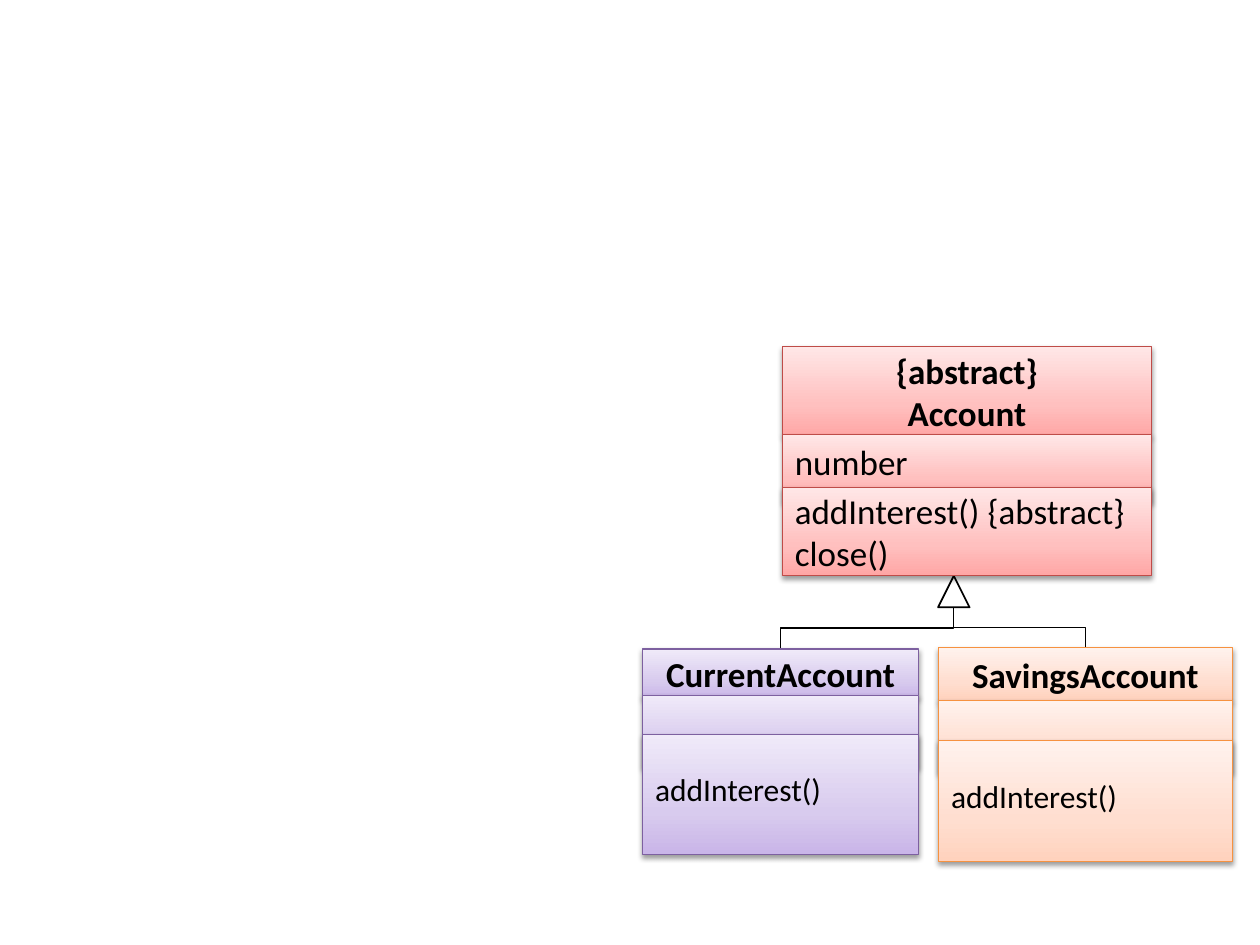
from lxml import etree
from pptx import Presentation
from pptx.dml.color import RGBColor
from pptx.enum.shapes import MSO_CONNECTOR, MSO_SHAPE
from pptx.enum.text import MSO_ANCHOR, PP_ALIGN
from pptx.oxml import parse_xml
from pptx.oxml.ns import nsdecls, qn
from pptx.util import Inches, Pt

RECT, TRIANGLE = MSO_SHAPE.RECTANGLE, MSO_SHAPE.FLOWCHART_EXTRACT
ELBOW = MSO_CONNECTOR.ELBOW
LEFT, CENTER, MIDDLE = PP_ALIGN.LEFT, PP_ALIGN.CENTER, MSO_ANCHOR.MIDDLE
BLACK, WHITE = RGBColor(0, 0, 0), RGBColor(255, 255, 255)
FONT = "Calibri"

# Palettes: outline, then gradient colours from bottom to top
RED = (RGBColor(0xBF, 0x4C, 0x48), ("FFA6A5", "FFC0BF", "FFE7E7"))
PURPLE = (RGBColor(0x7D, 0x60, 0xA0), ("C9B5E8", "D8CBEE", "F0EAF9"))
ORANGE = (RGBColor(0xF6, 0x92, 0x40), ("FFD2BD", "FFDED0", "FFF2ED"))
STOPS = (0, 35, 100)

# Classes: left, width, palette, and compartments as
# (top, height, lines, size, bold, alignment, line spacing)
CLASSES = [
    (5.1, 2.19, PURPLE, [
        (5.15, 0.39, ["CurrentAccount"], 20, True, CENTER, 1.0),
        (5.52, 0.57, [], 18, False, LEFT, 0.6),
        (5.83, 0.95, ["addInterest()"], 18, False, LEFT, 0.6),
    ]),
    (7.45, 2.33, ORANGE, [
        (5.14, 0.42, ["SavingsAccount"], 20, True, CENTER, 1.0),
        (5.56, 0.57, [], 18, False, LEFT, 0.6),
        (5.88, 0.96, ["addInterest()"], 18, False, LEFT, 0.6),
    ]),
    (6.21, 2.93, RED, [
        (2.75, 0.71, ["{abstract}", "Account"], 20, True, CENTER, 1.0),
        (3.45, 0.53, ["number"], 20, False, LEFT, 0.6),
        (3.87, 0.7, ["addInterest() {abstract}", "close()"], 20, False, LEFT, 1.0),
    ]),
]
ARROW_X, ARROW_TOP, ARROW_SIZE = 7.57, 4.57, 0.25


def add_gradient(sp, colors):
    stops = "".join(
        f'<a:gs pos="{pos * 1000}"><a:srgbClr val="{color}"/></a:gs>'
        for pos, color in zip(STOPS, colors))
    fill = parse_xml(
        f'<a:gradFill {nsdecls("a")} rotWithShape="1"><a:gsLst>{stops}</a:gsLst>'
        '<a:lin ang="16200000" scaled="0"/></a:gradFill>')
    sp._element.spPr.find(qn("a:prstGeom")).addnext(fill)


def add_shadow(sp):
    sp.shadow.inherit = False
    effects = sp._element.spPr.find(qn("a:effectLst"))
    effects.append(parse_xml(
        f'<a:outerShdw {nsdecls("a")} blurRad="{Pt(3.1)}" dist="{Pt(1.6)}" '
        'dir="5400000" rotWithShape="0"><a:srgbClr val="000000">'
        '<a:alpha val="38000"/></a:srgbClr></a:outerShdw>'))


def add_compartment(shapes, left, width, palette, compartment):
    top, height, lines, size, bold, align, spacing = compartment
    outline, colors = palette
    sp = shapes.add_shape(RECT, Inches(left), Inches(top), Inches(width), Inches(height))
    add_gradient(sp, colors)
    sp.line.color.rgb = outline
    sp.line.width = Pt(0.75)
    add_shadow(sp)
    tf = sp.text_frame
    tf.word_wrap = True
    tf.vertical_anchor = MIDDLE
    tf.text = "\n".join(lines)
    for p in tf.paragraphs:
        p.alignment = align
        p.line_spacing = spacing
        for r in p.runs:
            r.font.name, r.font.size, r.font.bold = FONT, Pt(size), bold
            r.font.color.rgb = BLACK


def add_branch(shapes, child_x, child_top):
    """Elbow that rises from a subclass, runs across and rises to the arrowhead."""
    end_y = ARROW_TOP + ARROW_SIZE
    center_x, center_y = (child_x + ARROW_X) / 2, (child_top + end_y) / 2
    rise, span = child_top - end_y, abs(child_x - ARROW_X)
    side = 1 if child_x < ARROW_X else -1
    # Laid out sideways about its centre, then turned upright
    dx, dy = side * rise / 2, span / 2
    line = shapes.add_connector(
        ELBOW, Inches(center_x + dx), Inches(center_y + dy),
        Inches(center_x - dx), Inches(center_y - dy))
    line.line.color.rgb = BLACK
    line.line.width = Pt(0.75)
    sp_pr = line._element.spPr
    sp_pr.find(qn("a:xfrm")).set("rot", str(5400000 if side > 0 else 16200000))
    etree.SubElement(sp_pr, qn("a:effectLst"))


prs = Presentation()
prs.slide_width, prs.slide_height = Inches(10), Inches(7.5)
shapes = prs.slides.add_slide(prs.slide_layouts[6]).shapes

# Inheritance lines from both subclasses
for left, width, _, compartments in CLASSES[:2]:
    add_branch(shapes, left + width / 2, compartments[0][0])

# Inheritance arrowhead
sp = shapes.add_shape(TRIANGLE, Inches(ARROW_X - ARROW_SIZE / 2), Inches(ARROW_TOP),
                      Inches(ARROW_SIZE), Inches(ARROW_SIZE))
sp.fill.solid()
sp.fill.fore_color.rgb = WHITE
sp.line.color.rgb = BLACK
sp.line.width = Pt(1)
sp.shadow.inherit = False

# Class boxes
for left, width, palette, compartments in CLASSES:
    for compartment in compartments:
        add_compartment(shapes, left, width, palette, compartment)

prs.save("out.pptx")
